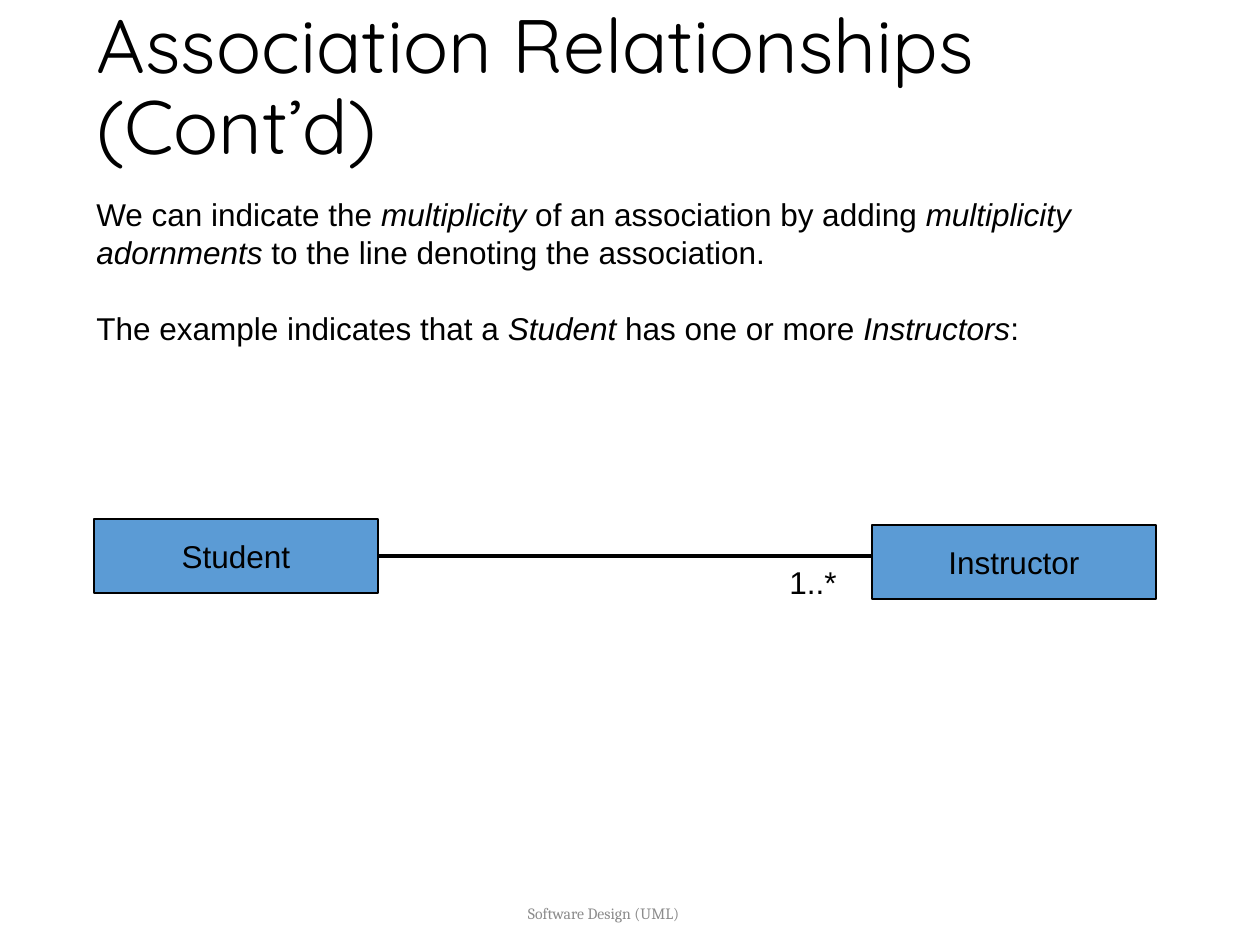
from dataclasses import dataclass

import pptx
import pptx.dml.color
import pptx.enum.shapes
import pptx.enum.text
import pptx.oxml
import pptx.util

EMU_PER_PX = 914400 / 126
ALIGN = pptx.enum.text.PP_ALIGN
ANCHOR = pptx.enum.text.MSO_ANCHOR
BLACK = "000000"
CLASS_BLUE = "5B9BD5"


@dataclass
class Area:
    left: int
    top: int
    width: int
    height: int

    def emu(self) -> list:
        return [px(n) for n in (self.left, self.top, self.width, self.height)]


@dataclass
class Style:
    font: str = "Arial"
    size: float = 18
    color: str = BLACK
    align: ALIGN = ALIGN.LEFT
    anchor: ANCHOR = ANCHOR.TOP
    line_spacing: float = 1.0
    gap: float = 0


def px(length: int) -> int:
    return pptx.util.Emu(round(length * EMU_PER_PX))


def rgb(color: str) -> pptx.dml.color.RGBColor:
    return pptx.dml.color.RGBColor.from_string(color)


def write(shape, paragraphs: list[str], style: Style) -> None:
    """Fill a shape with text; parts between underscores are italic."""
    frame = shape.text_frame
    frame.vertical_anchor = style.anchor
    for index, text in enumerate(paragraphs):
        para = frame.paragraphs[0] if index == 0 else frame.add_paragraph()
        para.alignment = style.align
        para.line_spacing = style.line_spacing
        para.space_before = pptx.util.Pt(style.gap if index else 0)
        para.font.name = style.font
        para.font.size = pptx.util.Pt(style.size)
        para.font.color.rgb = rgb(style.color)
        for position, part in enumerate(text.split("_")):
            span = para.add_run()
            span.text = part
            if position % 2:
                span.font.italic = True


def add_text(page, area: Area, paragraphs: list[str], style: Style) -> None:
    box = page.shapes.add_textbox(*area.emu())
    box.text_frame.word_wrap = True
    write(box, paragraphs, style)


def add_class(page, name: str, area: Area):
    box = page.shapes.add_shape(
        pptx.enum.shapes.MSO_SHAPE.RECTANGLE, *area.emu())
    box.shadow.inherit = False
    box.fill.solid()
    box.fill.fore_color.rgb = rgb(CLASS_BLUE)
    box.line.color.rgb = rgb(BLACK)
    box.line.width = pptx.util.Pt(0.75)
    box.text_frame.word_wrap = False
    write(box, [name], Style(align=ALIGN.CENTER, anchor=ANCHOR.MIDDLE))
    return box


def add_association(page, source, end_x: int) -> None:
    """Draw a level line from the right side of the source class."""
    middle = source.top + source.height // 2
    line = page.shapes.add_connector(
        pptx.enum.shapes.MSO_CONNECTOR.STRAIGHT,
        source.left + source.width, middle, px(end_x), middle)
    line.begin_connect(source, 3)
    line.line.color.rgb = rgb(BLACK)
    line.line.width = pptx.util.Pt(2.25)
    properties = line._element.spPr
    properties.append(pptx.oxml.parse_xml(
        '<a:effectLst xmlns:a='
        '"http://schemas.openxmlformats.org/drawingml/2006/main"/>'))


def main() -> None:
    deck = pptx.Presentation()
    deck.slide_width, deck.slide_height = px(1260), px(945)
    page = deck.slides.add_slide(deck.slide_layouts[6])

    add_text(page, Area(325, 882, 557, 63), ["Software Design (UML)"],
             Style("Cambria", 9, "8C8C8C", ALIGN.CENTER, ANCHOR.MIDDLE))
    add_text(page, Area(84, 53, 1124, 73),
             ["Association Relationships (Cont’d)"],
             Style("Quicksand", 43.2, anchor=ANCHOR.MIDDLE, line_spacing=0.9))
    add_text(page, Area(84, 189, 1118, 265), [
        "We can indicate the _multiplicity_ of an association by adding "
        "_multiplicity adornments_ to the line denoting the association.",
        "The example indicates that a _Student_ has one or more "
        "_Instructors_:",
    ], Style(gap=21.6))

    student = add_class(page, "Student", Area(94, 519, 284, 74))
    add_association(page, student, 882)
    add_class(page, "Instructor", Area(872, 525, 284, 74))
    add_text(page, Area(777, 557, 95, 63), ["1..*"], Style())

    deck.save("out.pptx")


if __name__ == "__main__":
    main()
